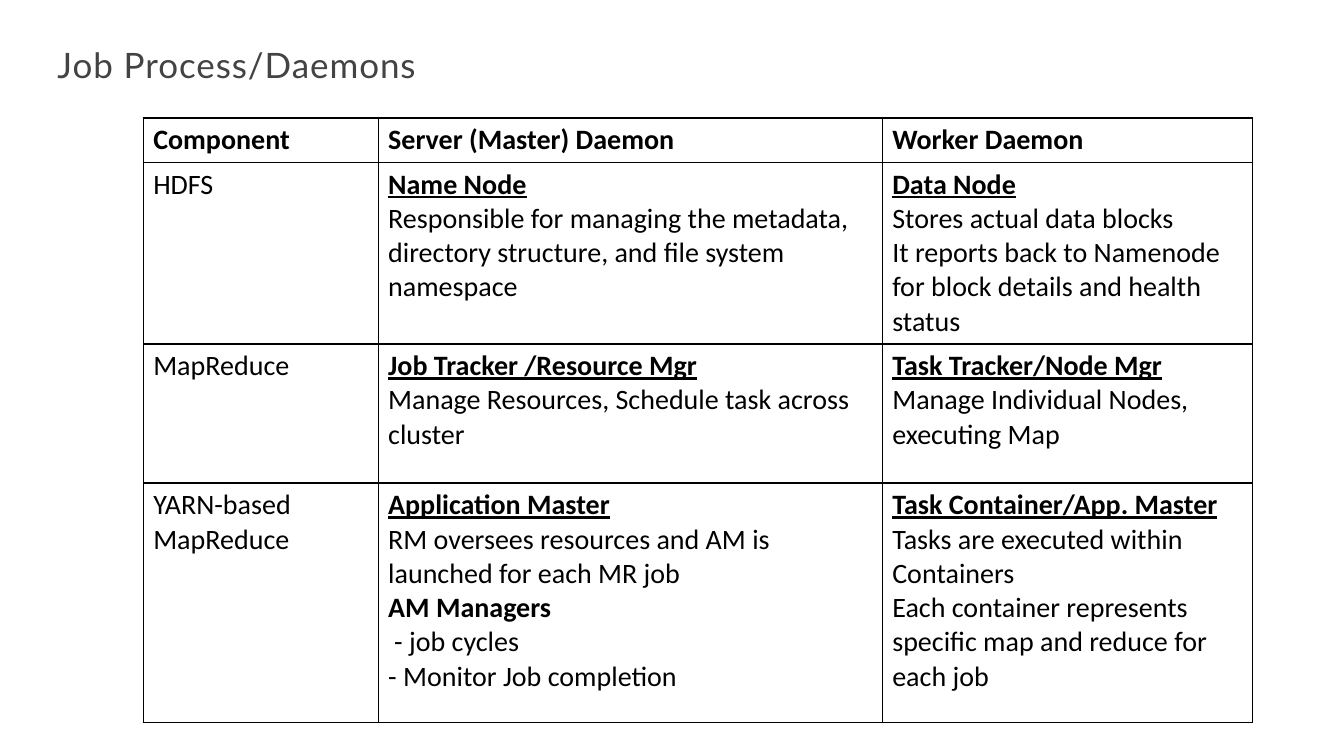
from lxml import etree
from pptx import Presentation
from pptx.dml import color
from pptx.enum import text as txt
from pptx.oxml import ns
from pptx.util import Inches, Pt

BLACK = color.RGBColor(0, 0, 0)
GREY = color.RGBColor(0x43, 0x43, 0x43)

PLAIN = dict(bold=False, underline=False)
BOLD = dict(bold=True, underline=False)
HEAD = dict(bold=True, underline=True)

WIDTHS = [2.33, 5, 3.67]
HEIGHTS = [0.44, 1.8, 1.38, 2.38]
INDENT = {"- job cycles": 0.06}

ROWS = [
    [[("Component", BOLD)], [("Server (Master) Daemon", BOLD)], [("Worker Daemon", BOLD)]],
    [
        [("HDFS", PLAIN)],
        [("Name Node", HEAD),
         ("Responsible for managing the metadata, directory structure, "
          "and file system namespace", PLAIN)],
        [("Data Node", HEAD),
         ("Stores actual data blocks", PLAIN),
         ("It reports back to Namenode for block details and health status", PLAIN)],
    ],
    [
        [("MapReduce", PLAIN)],
        [("Job Tracker /Resource Mgr", HEAD),
         ("Manage Resources, Schedule task across cluster", PLAIN)],
        [("Task Tracker/Node Mgr", HEAD),
         ("Manage Individual Nodes, executing Map", PLAIN)],
    ],
    [
        [("YARN-based MapReduce", PLAIN)],
        [("Application Master", HEAD),
         ("RM oversees resources and AM is launched for each MR job", PLAIN),
         ("AM Managers", BOLD),
         ("- job cycles", PLAIN),
         ("- Monitor Job completion", PLAIN)],
        [("Task Container/App. Master", HEAD),
         ("Tasks are executed within", PLAIN),
         ("Containers", PLAIN),
         ("Each container represents specific map and reduce for each job", PLAIN)],
    ],
]


def style(run, name, size, rgb, **form):
    for key, val in dict(name=name, size=Pt(size), **form).items():
        setattr(run.font, key, val)
    run.font.color.rgb = rgb


def border(cell):
    props = cell._tc.get_or_add_tcPr()
    for side in ("lnL", "lnR", "lnT", "lnB"):
        line = etree.SubElement(props, ns.qn("a:" + side), w=str(Pt(1)))
        fill = etree.SubElement(line, ns.qn("a:solidFill"))
        etree.SubElement(fill, ns.qn("a:srgbClr"), val=str(BLACK))


def fill_cell(cell, lines, anchor):
    border(cell)
    cell.fill.background()
    cell.vertical_anchor = anchor
    frame = cell.text_frame
    for i, (words, form) in enumerate(lines):
        para = frame.add_paragraph() if i else frame.paragraphs[0]
        if words in INDENT:
            para._p.get_or_add_pPr().set("marL", str(Inches(INDENT[words])))
        run = para.add_run()
        run.text = words
        style(run, "Calibri", 20, BLACK, **form)


def add_grid(slide):
    table = slide.shapes.add_table(
        len(ROWS), len(WIDTHS), Inches(1.42), Inches(1.17),
        Inches(sum(WIDTHS)), Inches(sum(HEIGHTS))).table
    table.first_row = table.horz_banding = False
    for col, width in zip(table.columns, WIDTHS):
        col.width = Inches(width)
    for r, (row, height) in enumerate(zip(table.rows, HEIGHTS)):
        row.height = Inches(height)
        anchor = txt.MSO_ANCHOR.TOP if r else txt.MSO_ANCHOR.MIDDLE
        for cell, lines in zip(row.cells, ROWS[r]):
            fill_cell(cell, lines, anchor)


def add_title(slide, words):
    box = slide.shapes.add_textbox(Inches(0.56), Inches(0.42), Inches(8.11), Inches(0.43))
    frame = box.text_frame
    form = dict(word_wrap=True, margin_left=Inches(0.01), margin_top=Inches(0.01),
                margin_right=0, margin_bottom=0)
    for key, val in form.items():
        setattr(frame, key, val)
    run = frame.paragraphs[0].add_run()
    run.text = words
    style(run, "Lato", 25, GREY)
    run._r.get_or_add_rPr().set("spc", "70")


def main():
    deck = Presentation()
    deck.slide_width, deck.slide_height = Inches(13.33), Inches(7.5)
    slide = deck.slides.add_slide(deck.slide_layouts[6])
    add_grid(slide)
    add_title(slide, "Job Process/Daemons")
    deck.save("out.pptx")


if __name__ == "__main__":
    main()
